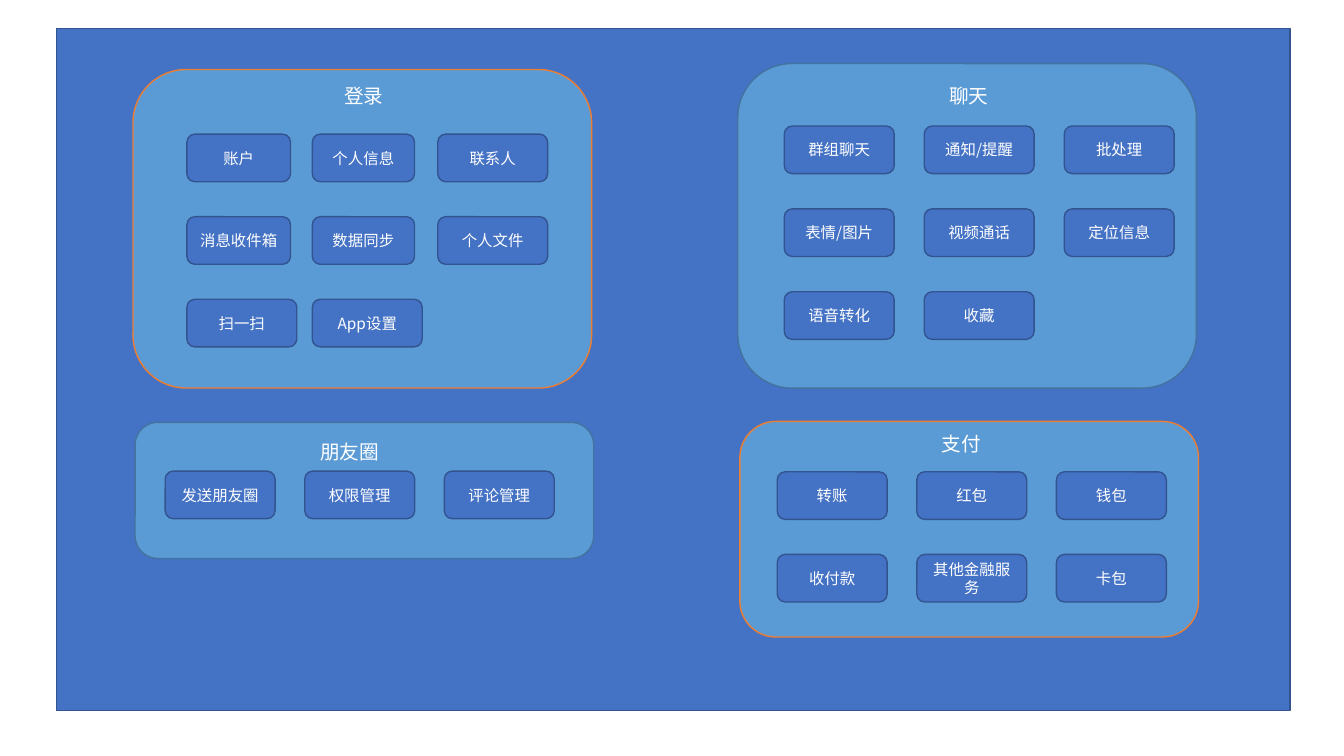
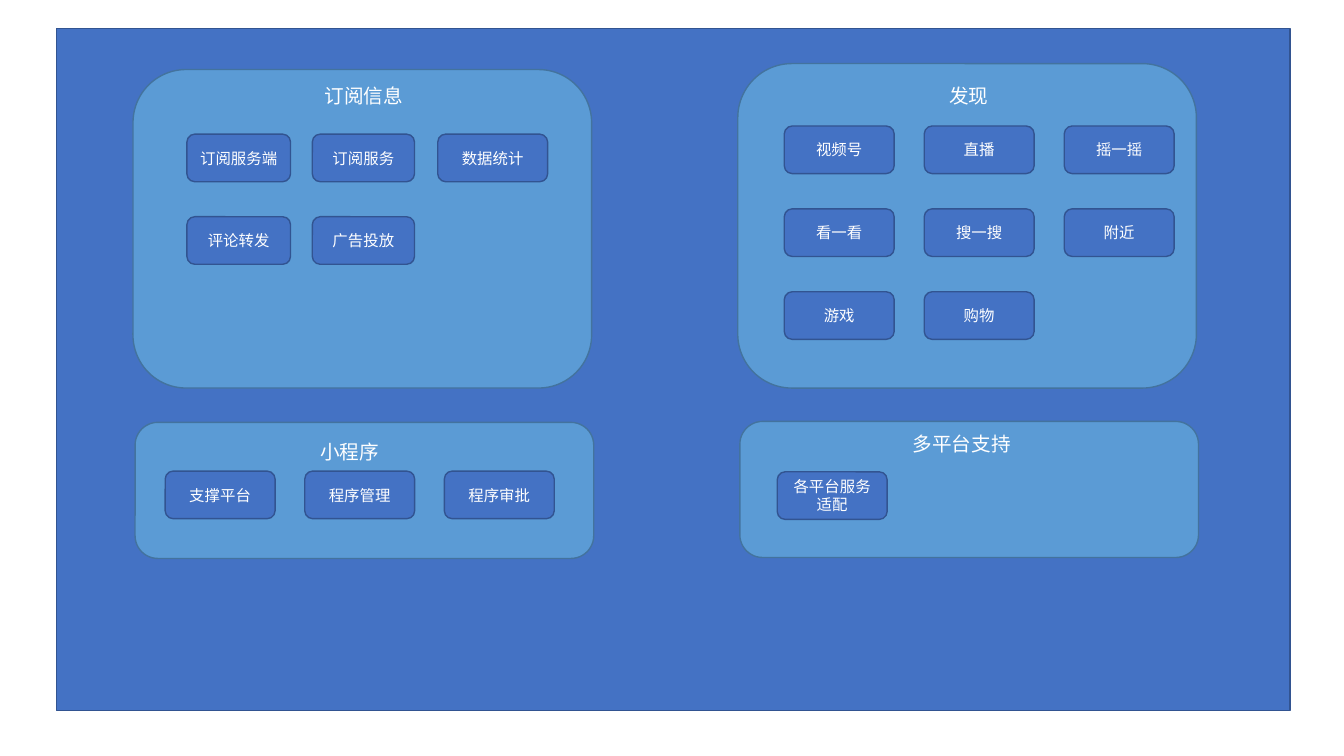
from lxml import etree
from pptx import Presentation
from pptx import util as u
from pptx.dml.color import RGBColor
from pptx.enum import shapes, text
from pptx.oxml.ns import qn

FONT = "Noto Sans CJK SC"
COLORS = {
    "back": "4472C4",
    "button_edge": "325491",
    "panel": "5B9BD5",
    "panel_edge": "43739E",
    "accent": "ED7D31",
    "text": "FFFFFF",
}

SLIDES = [
    [
        {"slot": "top_left", "title": "登录", "edge": "accent",
         "rows": [["账户", "个人信息", "联系人"],
                  ["消息收件箱", "数据同步", "个人文件"],
                  ["扫一扫", "App设置"]]},
        {"slot": "top_right", "title": "聊天",
         "rows": [["群组聊天", "通知/提醒", "批处理"],
                  ["表情/图片", "视频通话", "定位信息"],
                  ["语音转化", "收藏"]]},
        {"slot": "bottom_left", "title": "朋友圈",
         "rows": [["发送朋友圈", "权限管理", "评论管理"]]},
        {"slot": "bottom_right", "title": "支付", "edge": "accent",
         "rows": [["转账", "红包", "钱包"],
                  ["收付款", "其他金融服务", "卡包"]]},
    ],
    [
        {"slot": "top_left", "title": "订阅信息",
         "rows": [["订阅服务端", "订阅服务", "数据统计"],
                  ["评论转发", "广告投放"]]},
        {"slot": "top_right", "title": "发现",
         "rows": [["视频号", "直播", "摇一摇"],
                  ["看一看", "搜一搜", "附近"],
                  ["游戏", "购物"]]},
        {"slot": "bottom_left", "title": "小程序",
         "rows": [["支撑平台", "程序管理", "程序审批"]]},
        {"slot": "bottom_right", "title": "多平台支持",
         "rows": [["各平台服务适配"]]},
    ],
]

PANEL_W, TITLE_W, TITLE_H = 327.6, 134, 10
BUTTON_W, BUTTON_H = 78.5, 34
COMPACT = (74, 73, BUTTON_W)
REGULAR = (BUTTON_W,) * 3
SLOTS = {
    "top_left": {"at": (95, 49.7), "heights": (227.5,) * 3, "title": (193, 63.4),
                 "grid": (133.5, 95.8), "pitch": (89.6, 59),
                 "widths": (COMPACT, COMPACT, REGULAR)},
    "top_right": {"at": (527, 45.4), "heights": (231.8,) * 3, "title": (625, 63.4),
                  "grid": (560.2, 90), "pitch": (100, 59.2),
                  "widths": (REGULAR,) * 3},
    "bottom_left": {"at": (96.5, 301.7), "heights": (97.2,), "title": (182.9, 317.5),
                    "grid": (118, 336.5), "pitch": (99.7, 59),
                    "widths": (REGULAR,)},
    "bottom_right": {"at": (528.5, 301), "heights": (97.2, 154), "title": (619.9, 311.8),
                     "grid": (555.2, 337), "pitch": (99.7, 59),
                     "widths": (REGULAR,) * 2},
}


def rgb(name):
    return RGBColor.from_string(COLORS[name])


def add_box(s, box, label="", fill="back", edge=None, size=11, rounded=True):
    kind = shapes.MSO_SHAPE.ROUNDED_RECTANGLE if rounded else shapes.MSO_SHAPE.RECTANGLE
    sp = s.shapes.add_shape(kind, *(u.Pt(v) for v in box))
    sp.shadow.inherit = False
    sp.fill.solid()
    sp.fill.fore_color.rgb = rgb(fill)
    if edge:
        sp.line.color.rgb = rgb(edge)
        sp.line.width = u.Pt(1)
    else:
        sp.line.fill.background()
    if label:
        tf = sp.text_frame
        tf.word_wrap = True
        tf.vertical_anchor = text.MSO_ANCHOR.MIDDLE
        p = tf.paragraphs[0]
        p.alignment = text.PP_ALIGN.CENTER
        r = p.add_run()
        r.text = label
        r.font.size = u.Pt(size)
        r.font.color.rgb = rgb("text")
        r.font.name = FONT
        etree.SubElement(r.font._element, qn("a:ea"), typeface=FONT)


def add_panel(s, panel):
    slot, rows = SLOTS[panel["slot"]], panel["rows"]
    height = slot["heights"][len(rows) - 1]
    add_box(s, (*slot["at"], PANEL_W, height), fill="panel",
            edge=panel.get("edge", "panel_edge"))
    add_box(s, (*slot["title"], TITLE_W, TITLE_H), panel["title"],
            fill="panel", size=14, rounded=False)
    (left, top), (dx, dy) = slot["grid"], slot["pitch"]
    for i, row in enumerate(rows):
        for j, label in enumerate(row):
            box = (left + j * dx, top + i * dy, slot["widths"][i][j], BUTTON_H)
            add_box(s, box, label, edge="button_edge")


prs = Presentation()
prs.slide_width, prs.slide_height = u.Pt(960), u.Pt(540)
for panels in SLIDES:
    s = prs.slides.add_slide(prs.slide_layouts[6])
    add_box(s, (40.3, 20.2, 881.3, 487.4), edge="button_edge", rounded=False)
    for panel in panels:
        add_panel(s, panel)
prs.save("out.pptx")
